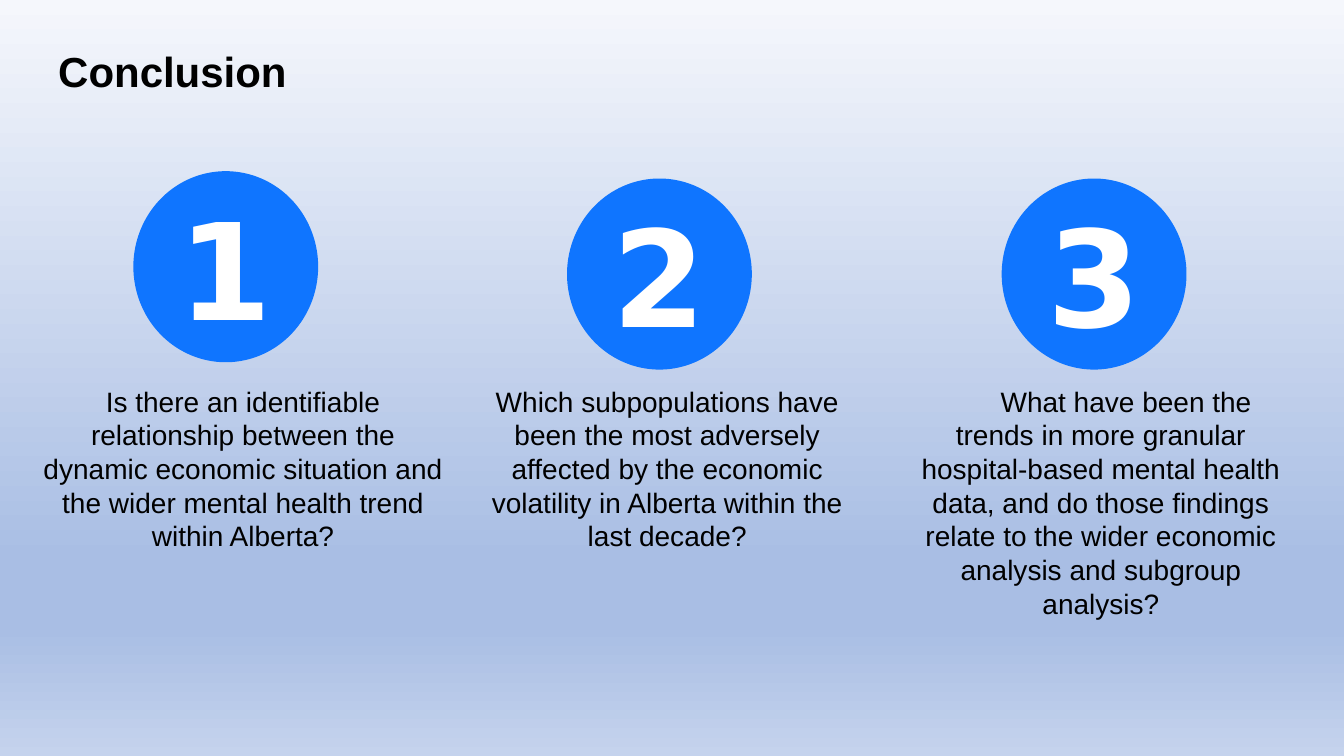
"""Build the Conclusion slide: three numbered research questions."""
from pptx import Presentation
from pptx.dml.color import RGBColor
from pptx.enum.shapes import MSO_SHAPE
from pptx.enum.text import MSO_ANCHOR, MSO_AUTO_SIZE, PP_ALIGN
from pptx.oxml import parse_xml
from pptx.oxml.ns import nsdecls
from pptx.util import Pt

PX = 9525
THEME = {
    "ink": "000000", "disc": "0F75FF", "digit": "FFFFFF",
    "background": [(0, "F5F7FC"), (74, "A9BEE4"), (83, "A9BEE4"), (100, "C5D3ED")],
    "body_font": "Arial", "digit_font": "DejaVu Sans",
    "title_size": 30, "body_size": 20, "digit_size": 96,
}
DISC_WIDTH, DISC_HEIGHT = 176, 182
QUESTION_TOP = 356
QUESTIONS = [
    ((127, 163), (15, 421, 181),
     "Is there an identifiable relationship between the dynamic economic "
     "situation and the wider mental health trend within Alberta?"),
    ((540, 170), (439, 381, 213),
     "Which subpopulations have been the most adversely affected by the "
     "economic volatility in Alberta within the last decade?"),
    ((954, 170), (846, 393, 278),
     "\tWhat have been the trends in more granular hospital-based mental "
     "health data, and do those findings relate to the wider economic "
     "analysis and subgroup analysis?"),
]


def px(*lengths):
    return [length * PX for length in lengths]


def write(box, text, role, color, font="body_font", bold=False, align=PP_ALIGN.CENTER):
    frame = box.text_frame
    frame.word_wrap = True
    para = frame.paragraphs[0]
    para.text = text
    para.alignment = align
    span = para.runs[0]
    span.font.name = THEME[font]
    span.font.size = Pt(THEME[role])
    span.font.bold = bold
    span.font.color.rgb = RGBColor.from_string(THEME[color])
    return para


deck = Presentation()
deck.slide_width, deck.slide_height = px(1280, 720)
page = deck.slides.add_slide(deck.slide_layouts[6])

stops = "".join(
    f'<a:gs pos="{percent * 1000}"><a:srgbClr val="{color}"/></a:gs>'
    for percent, color in THEME["background"]
)
page.element.cSld.insert(0, parse_xml(
    f'<p:bg {nsdecls("p", "a")}><p:bgPr><a:gradFill><a:gsLst>{stops}</a:gsLst>'
    '<a:lin ang="5400000" scaled="0"/></a:gradFill><a:effectLst/></p:bgPr></p:bg>'
))

title = page.shapes.add_textbox(*px(46, 44, 749, 31))
heading = write(title, "Conclusion", "title_size", "ink", bold=True, align=PP_ALIGN.LEFT)
heading.line_spacing = 0.9

for number, (disc_place, (left, width, height), wording) in enumerate(QUESTIONS, 1):
    disc = page.shapes.add_shape(
        MSO_SHAPE.OVAL, *px(*disc_place, DISC_WIDTH, DISC_HEIGHT))
    disc.shadow.inherit = False
    disc.fill.solid()
    disc.fill.fore_color.rgb = RGBColor.from_string(THEME["disc"])
    disc.line.fill.background()
    disc.text_frame.vertical_anchor = MSO_ANCHOR.MIDDLE
    write(disc, str(number), "digit_size", "digit", font="digit_font", bold=True)

    question = page.shapes.add_textbox(*px(left, QUESTION_TOP, width, height))
    para = write(question, wording, "body_size", "ink")
    frame = question.text_frame
    frame.auto_size = MSO_AUTO_SIZE.SHAPE_TO_FIT_TEXT
    frame.margin_left, frame.margin_top, frame.margin_right, frame.margin_bottom = px(10, 10, 10, 10)
    properties = para._p.get_or_add_pPr()
    properties.set("marL", str(12 * PX))
    properties.set("indent", "0")

deck.save("out.pptx")
